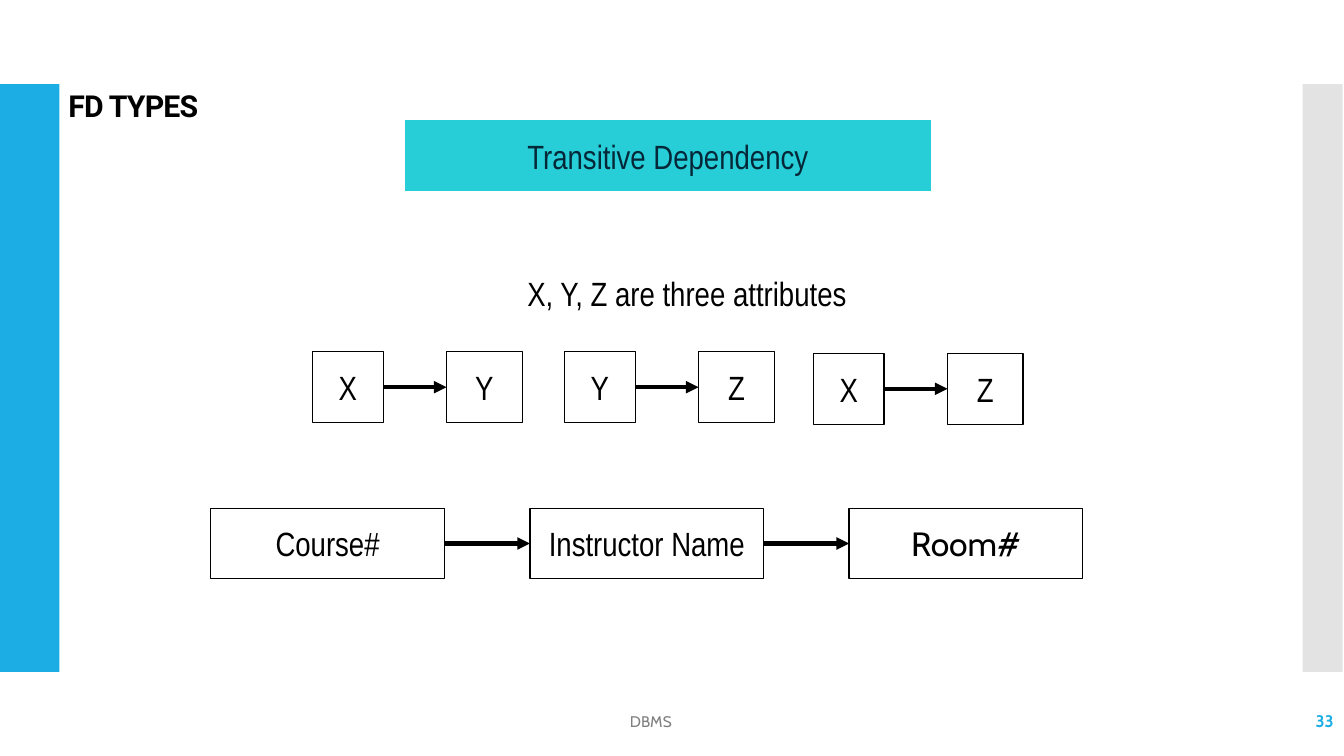
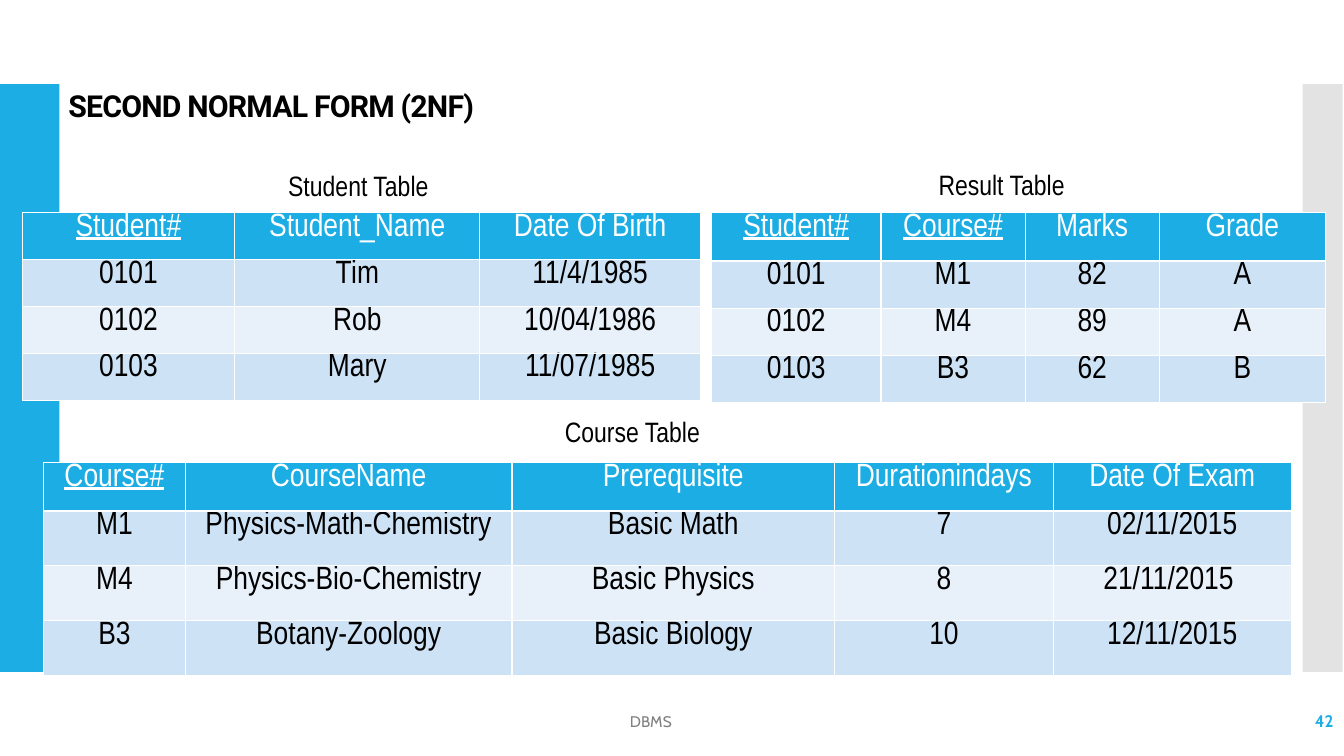
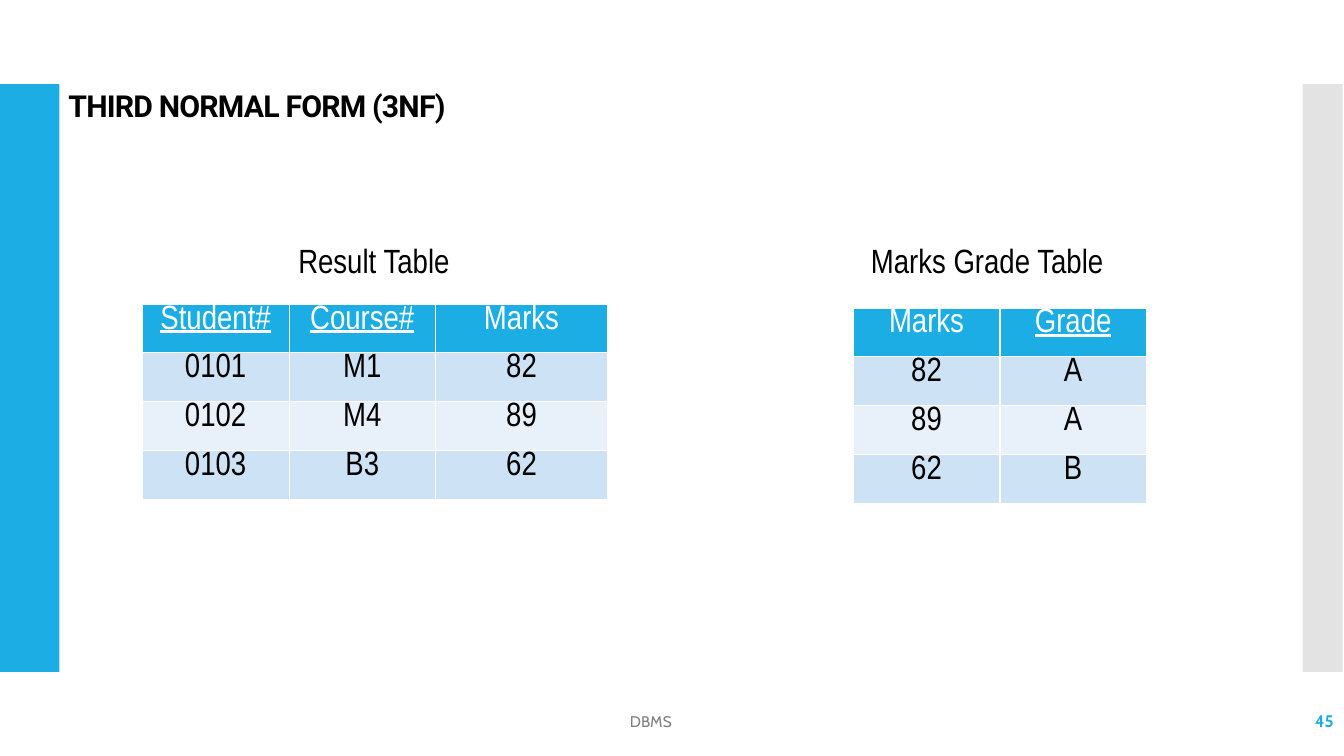
"""Build three slides on functional dependencies and normal forms."""
from lxml.etree import SubElement
from pptx import Presentation
from pptx.dml.color import RGBColor
from pptx.enum.shapes import MSO_CONNECTOR as CONNECTOR, MSO_SHAPE as SHAPE
from pptx.enum.text import MSO_ANCHOR as ANCHOR, PP_ALIGN as ALIGN
from pptx.oxml.ns import qn
from pptx.util import Pt

BLUE, TEAL, NAVY = "1CADE4", "27CED7", "052839"
BLACK, WHITE, SILVER, GRAY = "000000", "FFFFFF", "C8C8C8", "808080"
ROW_FILLS = ["CDE3F5", "E8F1FA"]
BODY, FOOTER, HEADING = "Arial Narrow", "Cabin", "Roboto"

RULES = [(223.2, 251.3, "X", "Y"), (403.2, 251.3, "Y", "Z"), (581.0, 252.5, "X", "Z")]
RULE_WIDTHS, RULE_STEP = (50.5, 54), 95.8
CHAIN = [("Course#", BODY), ("Instructor Name", BODY), ("Room#", FOOTER)]
CHAIN_LEFT, CHAIN_TOP, CHAIN_WIDTH, CHAIN_STEP = 150.5, 363, 167, 228
BOX_HEIGHT = 50.5

SECOND_FORM = [
    dict(caption="Student Table ", caption_box=(183, 116.6, 150.5, 31.7), caption_size=20,
         place=(15.8, 152), size=23, columns=[152, 175, 157.7], heights=[33.5, 33.5],
         keys=["Student#"],
         rows=[("Student#", "Student_Name", "Date Of Birth"),
               ("0101", "Tim", "11/4/1985"),
               ("0102", "Rob", "10/04/1986"),
               ("0103", "Mary", "11/07/1985")]),
    dict(caption="Course Table ", caption_box=(367, 292.5, 174, 31.7), caption_size=20,
         place=(31, 330.5), size=23, columns=[101.5, 233.3, 230.4, 156.2, 170], heights=[34.5, 39.2],
         keys=["Course#"],
         rows=[("Course#", "CourseName", "Prerequisite", "Durationindays", "Date Of Exam"),
               ("M1", "Physics-Math-Chemistry", "Basic Math", "7", "02/11/2015"),
               ("M4", "Physics-Bio-Chemistry", "Basic Physics", "8", "21/11/2015 "),
               ("B3", "Botany-Zoology", "Basic Biology", "10", "12/11/2015")]),
    dict(caption="Result Table ", caption_box=(628.5, 116, 178.5, 31.7), caption_size=20,
         place=(508.3, 152), size=23, columns=[121, 103, 95.8, 118.8], heights=[34.5, 33.6],
         keys=["Student#", "Course#"],
         rows=[("Student#", "Course#", "Marks", "Grade"),
               ("0101", "M1", "82", "A"),
               ("0102", "M4", "89", "A"),
               ("0103", "B3", "62", "B")]),
]
THIRD_FORM = [
    dict(caption="Result Table", caption_box=(206, 167.8, 153.4, 36), caption_size=24,
         place=(101.5, 217.5), size=24, columns=[105, 104.5, 123], heights=[34.5, 35],
         keys=["Student#", "Course#"], caption_align=ALIGN.LEFT,
         rows=[("Student#", "Course#", "Marks"),
               ("0101", "M1", "82"),
               ("0102", "M4", "89"),
               ("0103", "B3", "62")]),
    dict(caption="Marks Grade Table", caption_box=(615, 167.8, 211, 36), caption_size=24,
         place=(609.3, 220.3), size=24, columns=[105, 104.5], heights=[34.5, 35],
         keys=["Grade"], caption_align=ALIGN.LEFT,
         rows=[("Marks", "Grade"), ("82", "A"), ("89", "A"), ("62", "B")]),
]


def color(value):
    """Turn a hex string into a colour."""
    return RGBColor.from_string(value)


def write(frame, text, size, ink=BLACK, font=BODY, align=ALIGN.CENTER, bold=False):
    """Put one paragraph into a text frame and return it."""
    paragraph = frame.paragraphs[0]
    paragraph.add_run().text = text
    paragraph.alignment = align
    paragraph.font.name = font
    paragraph.font.size = Pt(size)
    paragraph.font.bold = bold
    paragraph.font.color.rgb = color(ink)
    return paragraph


def add_text(slide, box, text, size, anchor=ANCHOR.TOP, **style):
    """Add a wrapping text box and return its paragraph."""
    frame = slide.shapes.add_textbox(*map(Pt, box)).text_frame
    frame.word_wrap = True
    frame.vertical_anchor = anchor
    return write(frame, text, size, **style)


def add_box(slide, box, fill=None, line=None, line_width=0.85):
    """Add a plain rectangle."""
    shape = slide.shapes.add_shape(SHAPE.RECTANGLE, *map(Pt, box))
    shape.shadow.inherit = False
    if fill:
        shape.fill.solid()
        shape.fill.fore_color.rgb = color(fill)
    else:
        shape.fill.background()
    if line:
        shape.line.color.rgb = color(line)
        shape.line.width = Pt(line_width)
    else:
        shape.line.fill.background()
    return shape


def add_label_box(slide, box, text, font=BODY, ink=BLACK, **look):
    """Add a rectangle with a centred label."""
    shape = add_box(slide, box, **look)
    shape.text_frame.word_wrap = True
    shape.text_frame.vertical_anchor = ANCHOR.MIDDLE
    write(shape.text_frame, text, 24, ink, font)
    return shape


def add_arrow(slide, source, target):
    """Join the right side of one box to the left side of the next."""
    arrow = slide.shapes.add_connector(CONNECTOR.STRAIGHT, 0, 0, 0, 0)
    arrow.begin_connect(source, 3)
    arrow.end_connect(target, 1)
    arrow.line.color.rgb = color(BLACK)
    arrow.line.width = Pt(3)
    SubElement(arrow.line._get_or_add_ln(), qn("a:tailEnd"), type="triangle")
    SubElement(arrow._element.spPr, qn("a:effectLst"))


def add_chain(slide, items, top):
    """Draw labelled boxes in a row with arrows between them."""
    boxes = [add_label_box(slide, (left, top, width, BOX_HEIGHT), text, font, line=BLACK)
             for left, width, text, font in items]
    for source, target in zip(boxes, boxes[1:]):
        add_arrow(slide, source, target)


def add_captioned_table(slide, data):
    """Draw a table with its caption."""
    rows, columns = data["rows"], data["columns"]
    first, other = data["heights"]
    heights = [first] + [other] * (len(rows) - 1)
    table = slide.shapes.add_table(len(rows), len(columns), *map(Pt, data["place"]),
                                   Pt(sum(columns)), Pt(sum(heights))).table
    for column, width in zip(table.columns, columns):
        column.width = Pt(width)
    for index, (row, height, texts) in enumerate(zip(table.rows, heights, rows)):
        row.height = Pt(height)
        header = index == 0
        for cell, text in zip(row.cells, texts):
            cell.fill.solid()
            cell.fill.fore_color.rgb = color(BLUE if header else ROW_FILLS[(index - 1) % 2])
            cell.margin_left = cell.margin_right = Pt(6.5)
            cell.margin_top, cell.margin_bottom = Pt(0), Pt(3)
            paragraph = write(cell.text_frame, text, data["size"], WHITE if header else BLACK)
            paragraph.font.underline = header and text in data["keys"]
    add_text(slide, data["caption_box"], data["caption"], data["caption_size"],
             align=data.get("caption_align", ALIGN.CENTER))


def add_slide(presentation, title, number):
    """Add a slide with side bands, title and footer."""
    slide = presentation.slides.add_slide(presentation.slide_layouts[6])
    add_box(slide, (0, 60, 42.5, 420), BLUE)
    right_band = add_box(slide, (930.5, 60, 28.5, 420), SILVER)
    tint = right_band._element.spPr.find(qn("a:solidFill"))[0]
    SubElement(tint, qn("a:alpha"), val="50000")
    heading = add_text(slide, (41.8, 62, 751.7, 28.8), title, 21.6,
                       font=HEADING, align=ALIGN.LEFT, bold=True)
    heading.line_spacing = 0.9
    heading.runs[0]._r.get_or_add_rPr().set("spc", "-60")
    add_text(slide, (839.5, 500.4, 120.2, 28.8), number, 12, ANCHOR.MIDDLE,
             ink=BLUE, font=FOOTER, align=ALIGN.RIGHT, bold=True)
    add_text(slide, (237, 501, 455.8, 28), "DBMS", 11, ANCHOR.MIDDLE, ink=GRAY, font=FOOTER)
    return slide


def main():
    """Build and save the presentation."""
    presentation = Presentation()
    presentation.slide_width, presentation.slide_height = Pt(960), Pt(540)

    slide = add_slide(presentation, "FD TYPES", "33")
    add_label_box(slide, (288.7, 85.7, 376.6, 51), "Transitive Dependency",
                  ink=NAVY, fill=TEAL, line=WHITE, line_width=0.75)
    add_text(slide, (280, 191.5, 421.2, 36), "X, Y, Z are three attributes", 24)
    for left, top, *names in RULES:
        add_chain(slide, [(left + i * RULE_STEP, width, name, BODY)
                          for i, (width, name) in enumerate(zip(RULE_WIDTHS, names))], top)
    add_chain(slide, [(CHAIN_LEFT + i * CHAIN_STEP, CHAIN_WIDTH, text, font)
                      for i, (text, font) in enumerate(CHAIN)], CHAIN_TOP)

    for title, number, tables in [("SECOND NORMAL FORM (2NF)", "42", SECOND_FORM),
                                  ("THIRD NORMAL FORM (3NF)", "45", THIRD_FORM)]:
        slide = add_slide(presentation, title, number)
        for data in tables:
            add_captioned_table(slide, data)

    presentation.save("out.pptx")


if __name__ == "__main__":
    main()
